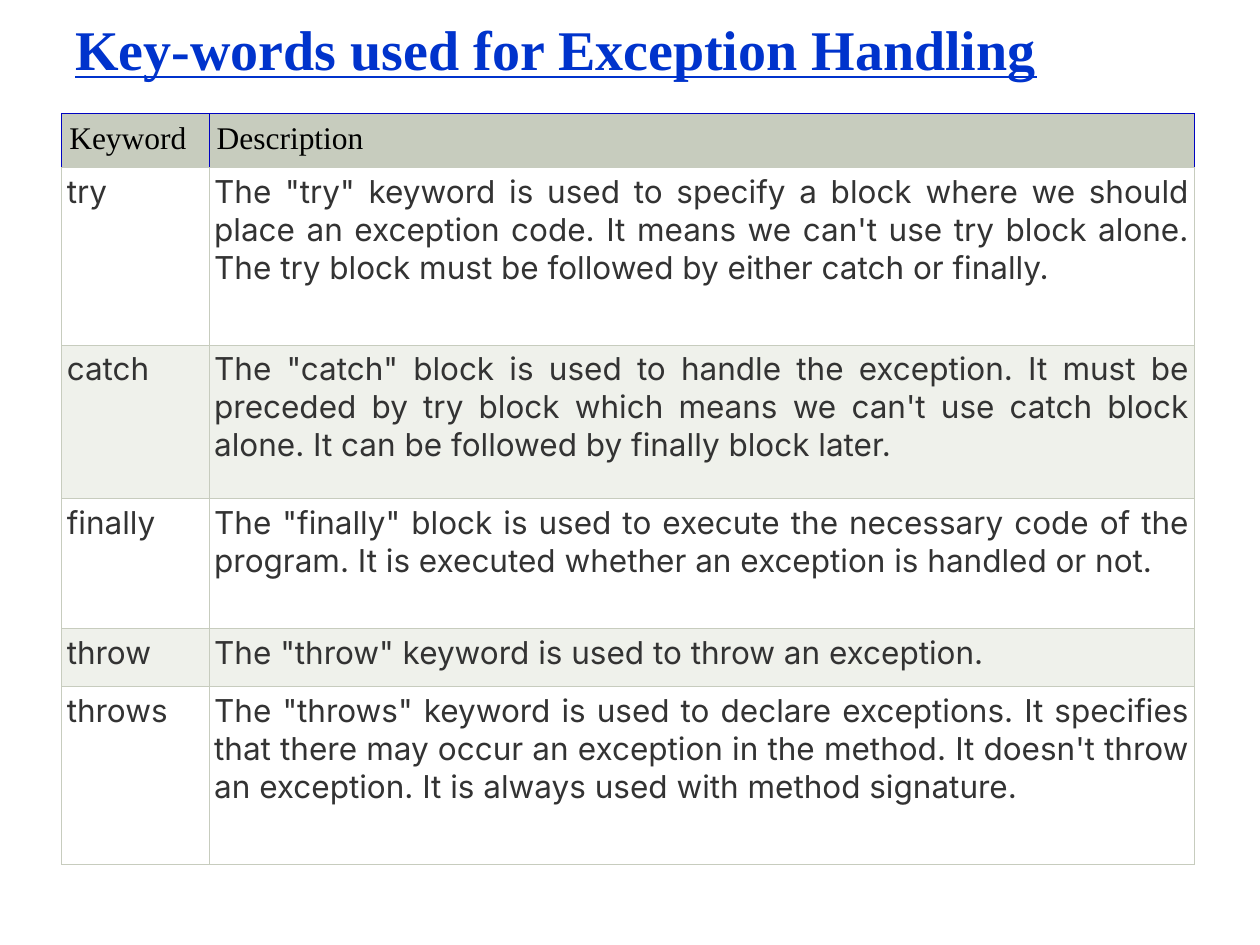
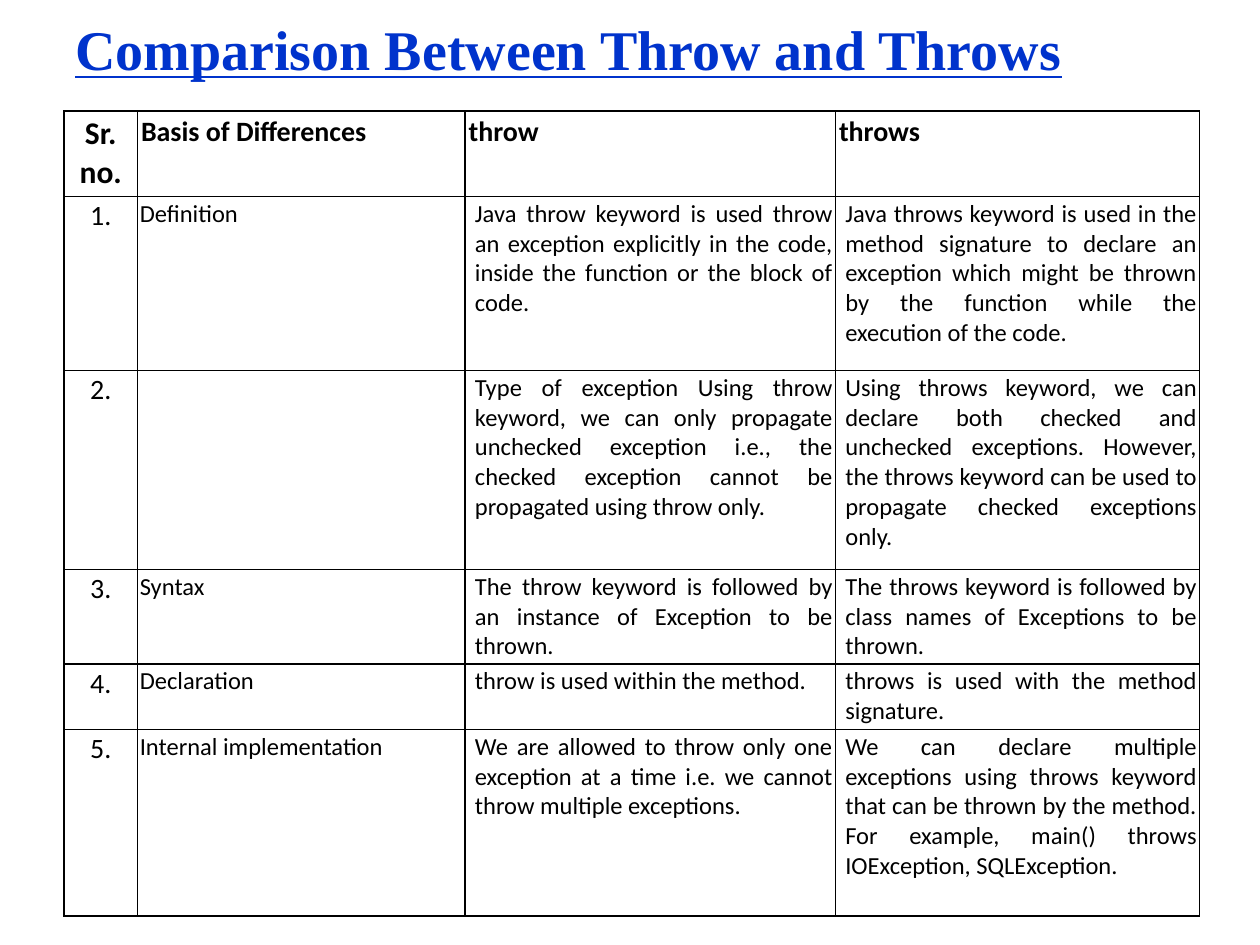
import pptx
import pptx.util
import pptx.dml.color
import pptx.enum.text
import pptx.oxml
import pptx.oxml.ns

Inches, Pt = pptx.util.Inches, pptx.util.Pt
RGBColor = pptx.dml.color.RGBColor
ALIGN = pptx.enum.text.PP_ALIGN

TITLE_BLUE = RGBColor(0x00, 0x33, 0xCC)
HEADER_BLUE = RGBColor(0x00, 0x03, 0xC1)
SAGE = RGBColor(0xC7, 0xCC, 0xBE)
PALE_SAGE = RGBColor(0xEF, 0xF1, 0xEB)
GREY = RGBColor(0x33, 0x33, 0x33)
BLACK = RGBColor(0, 0, 0)
WHITE = RGBColor(0xFF, 0xFF, 0xFF)

TITLE_FONT = {"name": "Times New Roman", "size": Pt(32), "bold": True, "underline": True}


def add_titled_table(title, left, top, widths, heights):
    s = prs.slides.add_slide(prs.slide_layouts[6])
    sp = s.shapes.add_textbox(Inches(0.5), Inches(0.06), Inches(9), Inches(0.65))
    tf = sp.text_frame
    tf.word_wrap = True
    tf.vertical_anchor = pptx.enum.text.MSO_ANCHOR.MIDDLE
    r = tf.paragraphs[0].add_run()
    r.text = title
    for key, value in TITLE_FONT.items():
        setattr(r.font, key, value)
    r.font.color.rgb = TITLE_BLUE

    tbl = s.shapes.add_table(len(heights), len(widths), Inches(left), Inches(top),
                             Inches(sum(widths)), Inches(sum(heights))).table
    tbl.first_row = tbl.horz_banding = False
    for column, width in zip(tbl.columns, widths):
        column.width = Inches(width)
    for row, height in zip(tbl.rows, heights):
        row.height = Inches(height)
    return tbl


def fill_cell(cell, text, font, color, fill, margin, borders, line_width,
              align=ALIGN.LEFT, indent=0):
    for side in ("left", "right", "top", "bottom"):
        setattr(cell, "margin_" + side, Inches(margin))
    cell.fill.solid()
    cell.fill.fore_color.rgb = fill
    p = cell.text_frame.paragraphs[0]
    p.alignment = align
    if indent:
        p._p.get_or_add_pPr().set("marL", str(Inches(indent)))
    if text:
        r = p.add_run()
        r.text = text
        for key, value in font.items():
            setattr(r.font, key, value)
        r.font.color.rgb = color
    # Borders come before the fill in the cell properties
    tcPr = cell._tc.get_or_add_tcPr()
    for i, (side, line_color) in enumerate(zip("LRTB", borders)):
        tcPr.insert(i, pptx.oxml.parse_xml(
            f'<a:ln{side} {pptx.oxml.ns.nsdecls("a")} w="{Pt(line_width)}">'
            f'<a:solidFill><a:srgbClr val="{line_color}"/></a:solidFill></a:ln{side}>'))


prs = pptx.Presentation()
prs.slide_width, prs.slide_height = Inches(10), Inches(7.5)

# Slide 1: keywords
keywords = [
    ("Keyword", "Description"),
    ("try", "The \"try\" keyword is used to specify a block where we should place an exception "
     "code. It means we can't use try block alone. The try block must be followed by either "
     "catch or finally."),
    ("catch", "The \"catch\" block is used to handle the exception. It must be preceded by try "
     "block which means we can't use catch block alone. It can be followed by finally block "
     "later."),
    ("finally", "The \"finally\" block is used to execute the necessary code of the program. It "
     "is executed whether an exception is handled or not."),
    ("throw", "The \"throw\" keyword is used to throw an exception."),
    ("throws", "The \"throws\" keyword is used to declare exceptions. It specifies that there "
     "may occur an exception in the method. It doesn't throw an exception. It is always used "
     "with method signature."),
]
tbl = add_titled_table("Key-words used for Exception Handling", 0.49, 0.9,
                       [1.17, 7.82], [0.43, 1.41, 1.22, 1.03, 0.46, 1.41])
for i, row in enumerate(keywords):
    for j, text in enumerate(row):
        cell = tbl.cell(i, j)
        if i == 0:
            fill_cell(cell, text, {"name": "Times New Roman", "size": Pt(18), "bold": False},
                      BLACK, SAGE, 0.06, [HEADER_BLUE] * 3 + [SAGE], 0.6)
        else:
            fill_cell(cell, text, {"name": "Inter", "size": Pt(18), "bold": False}, GREY,
                      WHITE if i % 2 else PALE_SAGE, 0.04, [SAGE] * 4, 0.6, ALIGN.JUSTIFY)

# Slide 2: throw against throws
differences = [
    ("Sr. no.", "Basis of Differences", "throw", "throws"),
    ("1.", "Definition",
     "Java throw keyword is used throw an exception explicitly in the code, inside the function "
     "or the block of code.",
     "Java throws keyword is used in the method signature to declare an exception which might "
     "be thrown by the function while the execution of the code."),
    ("2.", "",
     "Type of exception Using throw keyword, we can only propagate unchecked exception i.e., "
     "the checked exception cannot be propagated using throw only.",
     "Using throws keyword, we can declare both checked and unchecked exceptions. However, the "
     "throws keyword can be used to propagate checked exceptions only."),
    ("3.", "Syntax",
     "The throw keyword is followed by an instance of Exception to be thrown.",
     "The throws keyword is followed by class names of Exceptions to be thrown."),
    ("4.", "Declaration", "throw is used within the method.",
     "throws is used with the method signature."),
    ("5.", "Internal implementation",
     "We are allowed to throw only one exception at a time i.e. we cannot throw multiple "
     "exceptions.",
     "We can declare multiple exceptions using throws keyword that can be thrown by the method. "
     "For example, main() throws IOException, SQLException."),
]
tbl = add_titled_table("Comparison Between Throw and Throws", 0.51, 0.88,
                       [0.58, 2.6, 2.94, 2.89], [0.68, 1.38, 1.58, 0.75, 0.52, 1.48])
for i, row in enumerate(differences):
    for j, text in enumerate(row):
        header, number = i == 0, j == 0
        size = 14 + 2 * header + 2 * number
        align = ALIGN.CENTER if number else ALIGN.LEFT if header else ALIGN.JUSTIFY
        fill_cell(tbl.cell(i, j), text,
                  {"name": "Calibri", "size": Pt(size), "bold": header}, BLACK, WHITE,
                  0.03 if header else 0.02, [BLACK] * 4, 1, align,
                  0.06 if j > 1 and not header else 0)

prs.save("out.pptx")
